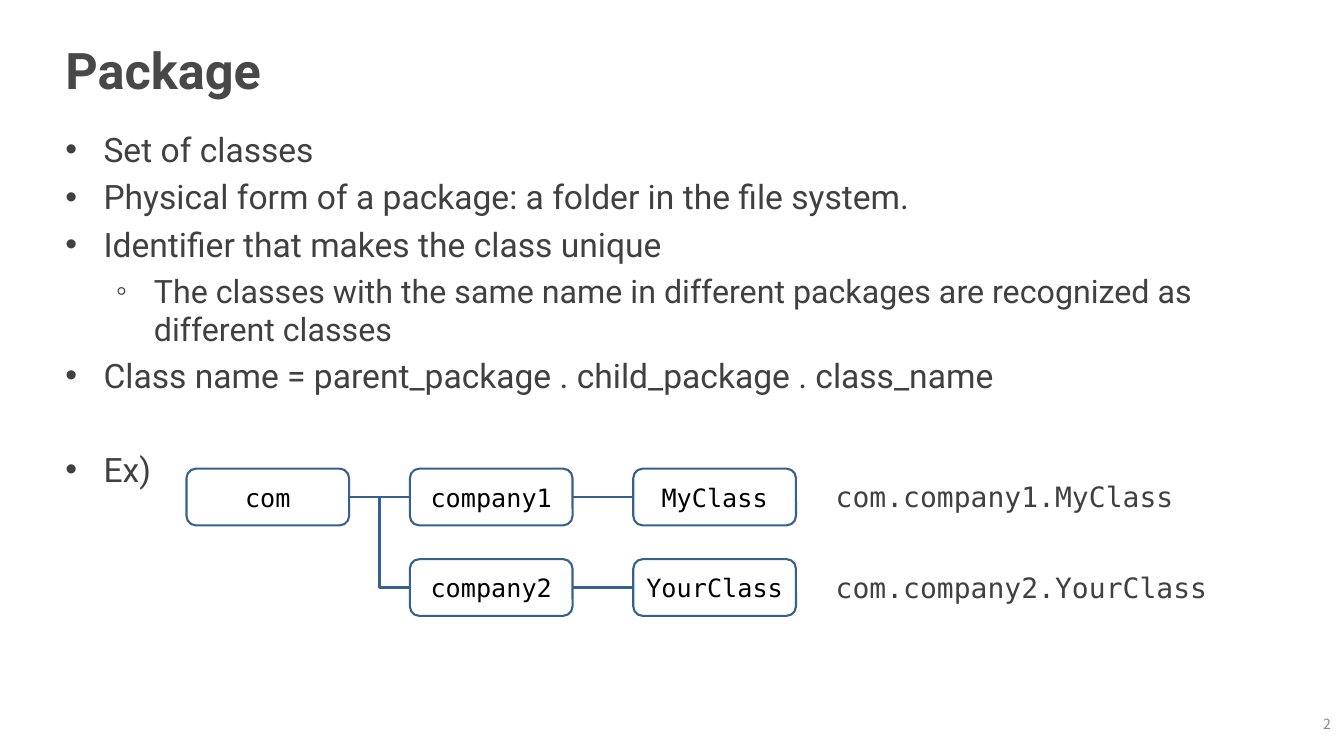
import dataclasses

import lxml.etree
import pptx
import pptx.dml.color
import pptx.enum.shapes
import pptx.enum.text
import pptx.oxml.ns
import pptx.shapes.autoshape
import pptx.slide
import pptx.text.text
import pptx.util

Cm = pptx.util.Cm
Pt = pptx.util.Pt
ALIGN = pptx.enum.text.PP_ALIGN
ANCHOR = pptx.enum.text.MSO_ANCHOR
CONNECTOR = pptx.enum.shapes.MSO_CONNECTOR

SANS = "Roboto"
MONO = "DejaVu Sans Mono"
TEXT_GREY = "404040"
TREE_BLUE = "376092"

TREE_LEFT, TREE_TOP = 4.7, 11.81
COLUMN_STEP, ROW_STEP = 5.63, 2.28
NODE_WIDTH, NODE_HEIGHT = 4.1, 1.43
LEFT_SIDE, RIGHT_SIDE = 1, 3


@dataclasses.dataclass(frozen=True)
class Style:
    size: float
    font: str = SANS
    color: str = TEXT_GREY
    bold: bool = False


@dataclasses.dataclass(frozen=True)
class Bullet:
    text: str
    level: int = 0
    space_before: float = 5


@dataclasses.dataclass(frozen=True)
class Node:
    text: str
    column: int
    row: int


@dataclasses.dataclass(frozen=True)
class Link:
    parent: str
    child: str
    kind: CONNECTOR = CONNECTOR.STRAIGHT


@dataclasses.dataclass(frozen=True)
class Label:
    text: str
    left: float
    top: float
    width: float
    height: float
    style: Style
    align: ALIGN = ALIGN.LEFT
    anchor: ANCHOR = ANCHOR.TOP
    wrap: bool = True


BULLETS = [
    Bullet("Set of classes"),
    Bullet("Physical form of a package: a folder in the file system."),
    Bullet("Identifier that makes the class unique"),
    Bullet("The classes with the same name in different packages "
           "are recognized as different classes", level=1),
    Bullet("Class name = parent_package . child_package . class_name"),
    Bullet("Ex)", space_before=38),
]
BULLET_STYLES = [Style(24), Style(23)]
BULLET_MARKS = ["•", "◦"]

NODES = [
    Node("com", 0, 0),
    Node("company1", 1, 0),
    Node("company2", 1, 1),
    Node("MyClass", 2, 0),
    Node("YourClass", 2, 1),
]
LINKS = [
    Link("com", "company1"),
    Link("com", "company2", CONNECTOR.ELBOW),
    Link("company1", "MyClass"),
    Link("company2", "YourClass"),
]
NODE_STYLE = Style(18, MONO, "000000")
CLASS_NAMES = ["com.company1.MyClass", "com.company2.YourClass"]
LABELS = [
    Label(name, 20.93, 11.96 + row * ROW_STEP, 10.06, 1.17, Style(20, MONO))
    for row, name in enumerate(CLASS_NAMES)
] + [
    Label("2", 33.17, 17.91, 0.5, 0.66, Style(10, "Noto Sans CJK KR", "888888"),
          ALIGN.RIGHT, ANCHOR.MIDDLE, wrap=False),
]


def rgb(value: str) -> pptx.dml.color.RGBColor:
    return pptx.dml.color.RGBColor.from_string(value)


def place(box, left: float, top: float, width: float, height: float) -> None:
    box.left, box.top, box.width, box.height = map(Cm, (left, top, width, height))


def set_frame(frame: pptx.text.text.TextFrame, anchor: ANCHOR, wrap: bool = True) -> None:
    frame.auto_size = pptx.enum.text.MSO_AUTO_SIZE.NONE
    frame.word_wrap = wrap
    frame.vertical_anchor = anchor
    frame.margin_left = frame.margin_right = Cm(0.13)
    frame.margin_top = frame.margin_bottom = Cm(0.13)


def add_span(para, text: str, style: Style, align: ALIGN = ALIGN.LEFT) -> None:
    para.alignment = align
    span = para.add_run()
    span.text = text
    span.font.name = style.font
    span.font.size = Pt(style.size)
    span.font.bold = style.bold
    span.font.color.rgb = rgb(style.color)


def add_title(page: pptx.slide.Slide) -> None:
    box = page.shapes.title
    place(box, 1.52, 0.74, 30.68, 2.0)
    set_frame(box.text_frame, ANCHOR.MIDDLE)
    add_span(box.text_frame.paragraphs[0], "Package", Style(36, color="484848", bold=True))


def add_bullets(page: pptx.slide.Slide) -> None:
    box = page.placeholders[1]
    place(box, 1.52, 3.12, 30.68, 10.54)
    frame = box.text_frame
    set_frame(frame, ANCHOR.TOP)
    for index, bullet in enumerate(BULLETS):
        para = frame.add_paragraph() if index else frame.paragraphs[0]
        para.level = bullet.level
        para.space_before = Pt(bullet.space_before)
        add_span(para, bullet.text, BULLET_STYLES[bullet.level])
        properties = para._p.get_or_add_pPr()
        properties.set("marL", str(Cm(0.96 + 1.27 * bullet.level)))
        properties.set("indent", str(Cm(-0.96)))
        qn = pptx.oxml.ns.qn
        lxml.etree.SubElement(properties, qn("a:buFont"), typeface="Arial")
        lxml.etree.SubElement(properties, qn("a:buChar"), char=BULLET_MARKS[bullet.level])


def add_node(page: pptx.slide.Slide, node: Node) -> pptx.shapes.autoshape.Shape:
    box = page.shapes.add_shape(
        pptx.enum.shapes.MSO_SHAPE.ROUNDED_RECTANGLE,
        Cm(TREE_LEFT + node.column * COLUMN_STEP), Cm(TREE_TOP + node.row * ROW_STEP),
        Cm(NODE_WIDTH), Cm(NODE_HEIGHT))
    box.shadow.inherit = False
    box.fill.background()
    box.line.color.rgb = rgb(TREE_BLUE)
    box.line.width = Pt(1.5)
    set_frame(box.text_frame, ANCHOR.MIDDLE)
    add_span(box.text_frame.paragraphs[0], node.text, NODE_STYLE, ALIGN.CENTER)
    return box


def add_link(page: pptx.slide.Slide, link: Link, boxes: dict) -> None:
    line = page.shapes.add_connector(link.kind, 0, 0, 0, 0)
    line.begin_connect(boxes[link.parent], RIGHT_SIDE)
    line.end_connect(boxes[link.child], LEFT_SIDE)
    line.line.color.rgb = rgb(TREE_BLUE)
    line.line.width = Pt(1.5)
    lxml.etree.SubElement(line._element.spPr, pptx.oxml.ns.qn("a:effectLst"))


def add_label(page: pptx.slide.Slide, label: Label) -> None:
    box = page.shapes.add_textbox(
        Cm(label.left), Cm(label.top), Cm(label.width), Cm(label.height))
    set_frame(box.text_frame, label.anchor, label.wrap)
    add_span(box.text_frame.paragraphs[0], label.text, label.style, label.align)


def main() -> None:
    deck = pptx.Presentation()
    deck.slide_width, deck.slide_height = Cm(33.87), Cm(19.05)
    page = deck.slides.add_slide(deck.slide_layouts[1])
    add_title(page)
    add_bullets(page)
    boxes = {node.text: add_node(page, node) for node in NODES}
    for link in LINKS:
        add_link(page, link, boxes)
    for label in LABELS:
        add_label(page, label)
    deck.save("out.pptx")


if __name__ == "__main__":
    main()
